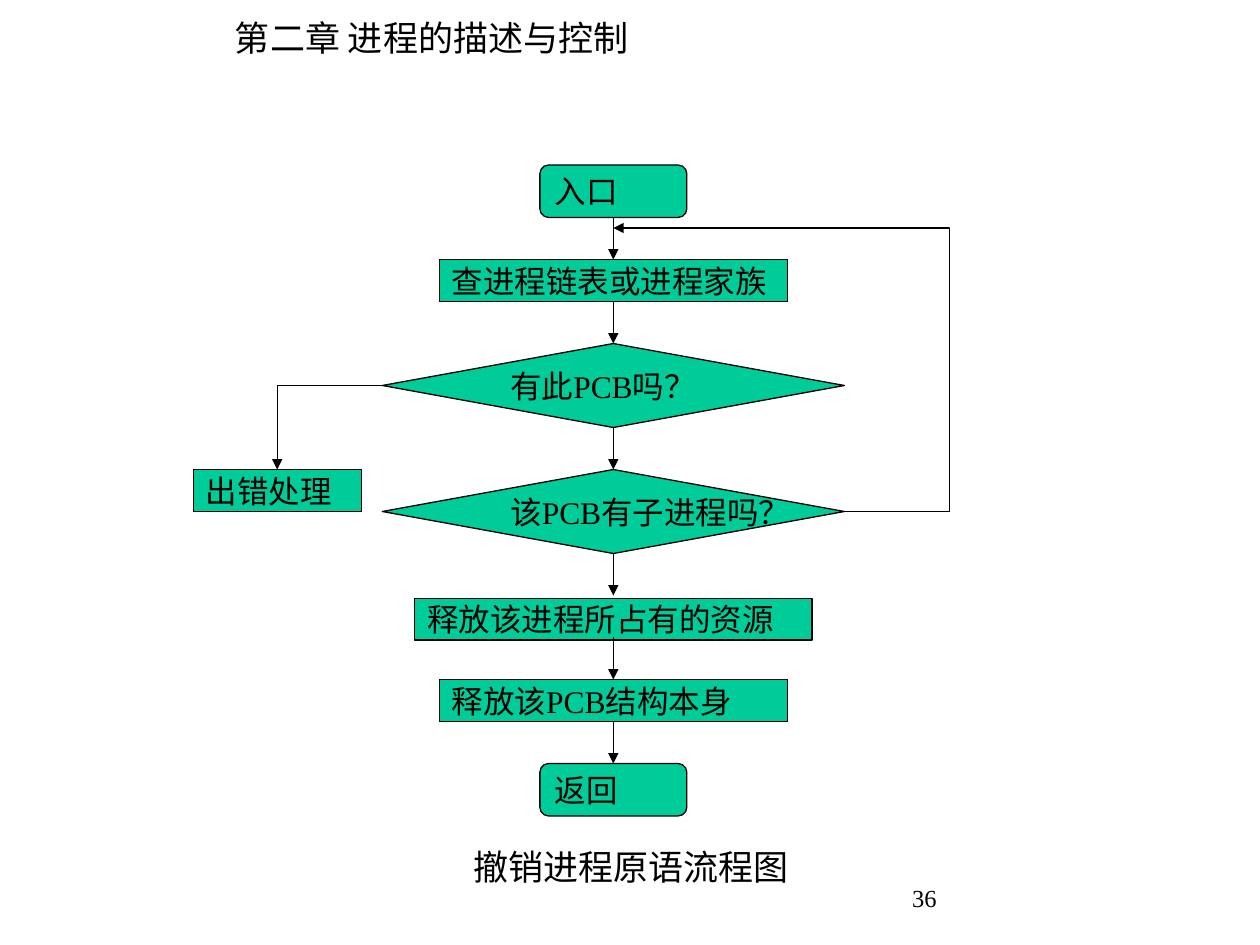
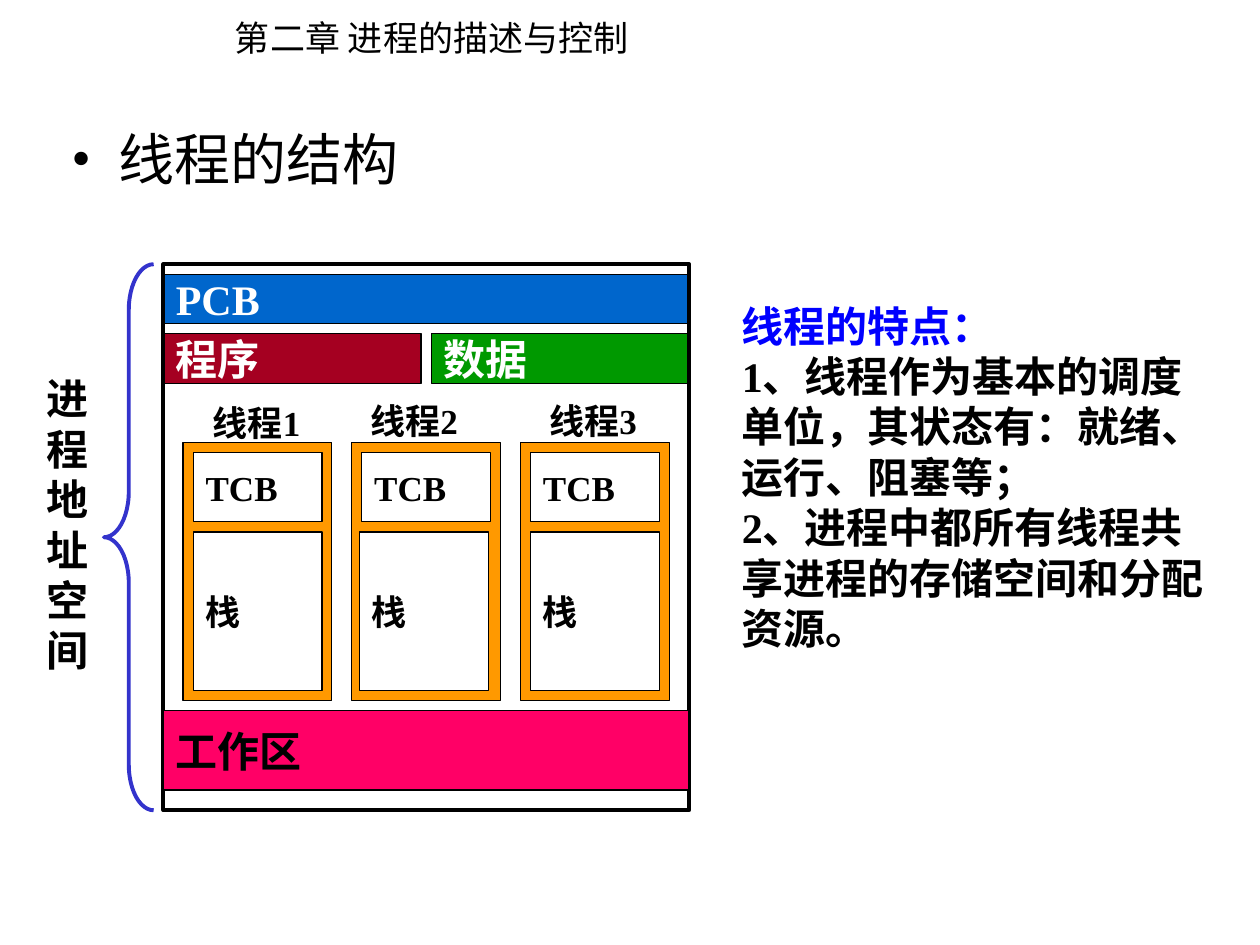
from lxml.etree import SubElement
from pptx import Presentation
from pptx.dml.color import RGBColor
from pptx.enum.shapes import MSO_CONNECTOR, MSO_SHAPE
from pptx.enum.text import MSO_ANCHOR, MSO_AUTO_SIZE, PP_ALIGN
from pptx.oxml.ns import qn
from pptx.util import Pt

# Shared look
BLACK = RGBColor(0x00, 0x00, 0x00)
WHITE = RGBColor(0xFF, 0xFF, 0xFF)
FLOW_GREEN = RGBColor(0x00, 0xCC, 0x99)
PCB_BLUE = RGBColor(0x00, 0x66, 0xCC)
CODE_RED = RGBColor(0xA5, 0x00, 0x21)
DATA_GREEN = RGBColor(0x00, 0x99, 0x00)
THREAD_ORANGE = RGBColor(0xFF, 0x99, 0x00)
WORK_PINK = RGBColor(0xFF, 0x00, 0x66)
BRACE_BLUE = RGBColor(0x33, 0x33, 0xCC)
HEADING_BLUE = RGBColor(0x00, 0x00, 0xFF)
LATIN_FONT = "Times New Roman"
CHINESE_FONT = "Noto Sans CJK SC"
THIN, THICK = 0.75, 2.25

# Shared content
CHAPTER = "第二章 进程的描述与控制"

# Flowchart: text, preset, width, height, nudge down from the regular column
CAPTION = "撤销进程原语流程图"
PAGE_NUMBER = "36"
ROUNDED = MSO_SHAPE.FLOWCHART_ALTERNATE_PROCESS
BOX = MSO_SHAPE.RECTANGLE
DECISION = MSO_SHAPE.FLOWCHART_DECISION
FLOW_STEPS = [
    ("入口", ROUNDED, 84, 30, 0),
    ("查进程链表或进程家族", BOX, 199, 24, 0),
    ("有此PCB吗？", DECISION, 264, 48, 0),
    ("该PCB有子进程吗？", DECISION, 264, 48, 0),
    ("释放该进程所占有的资源", BOX, 227, 24, 1.5),
    ("释放该PCB结构本身", BOX, 199, 24, 0),
    ("返回", ROUNDED, 84, 30, 0),
]
ERROR_STEP = "出错处理"
FLOW_CENTER, FLOW_TOP, FLOW_GAP = 350.5, 94.3, 24

# Thread structure
TOPIC = "线程的结构"
ADDRESS_SPACE = "进程地址空间"
FRAME_LEFT, FRAME_TOP, FRAME_WIDTH, FRAME_HEIGHT = 93.4, 151, 300.4, 312
HALF_WIDTH = 147.2
SHARED_AREAS = [  # text, left, top, width, height, fill
    ("PCB", FRAME_LEFT, 156.7, FRAME_WIDTH, 28.3, PCB_BLUE),
    ("程序", FRAME_LEFT, 190.8, HALF_WIDTH, 28.3, CODE_RED),
    ("数据", FRAME_LEFT + FRAME_WIDTH - HALF_WIDTH, 190.8, HALF_WIDTH, 28.3, DATA_GREEN),
]
THREADS = [  # label, label left, label top, stack offset
    ("线程1", 114.5, 226, 5.8),
    ("线程2", 204.5, 224.6, 4.5),
    ("线程3", 306.7, 224.6, 5.8),
]
THREAD_LEFT, THREAD_STEP = 104.6, 96.4
FEATURES = [
    ("线程的特点：", HEADING_BLUE),
    ("1、线程作为基本的调度单位，其状态有：就绪、运行、阻塞等；", BLACK),
    ("2、进程中都所有线程共享进程的存储空间和分配资源。", BLACK),
]


def write(shape, lines, size, bold=False, wrap=False, font=LATIN_FONT):
    """Write (text, colour) lines, left aligned."""
    frame = shape.text_frame
    frame.word_wrap = wrap
    for index, (text, color) in enumerate(lines):
        paragraph = frame.add_paragraph() if index else frame.paragraphs[0]
        paragraph.alignment = PP_ALIGN.LEFT
        run = paragraph.add_run()
        run.text = text
        for name, value in {"name": font, "size": Pt(size), "bold": bold}.items():
            setattr(run.font, name, value)
        run.font.color.rgb = color
        SubElement(run.font._element, qn("a:ea"), typeface=CHINESE_FONT)


def add_label(slide, lines, place, size, grow=True, **style):
    box = slide.shapes.add_textbox(*map(Pt, place))
    write(box, lines, size, **style)
    box.text_frame.auto_size = MSO_AUTO_SIZE.SHAPE_TO_FIT_TEXT if grow else MSO_AUTO_SIZE.NONE


def add_block(slide, preset, place, fill=None, line=BLACK, width=THIN):
    shape = slide.shapes.add_shape(preset, *map(Pt, place))
    shape.shadow.inherit = False
    if fill is None:
        shape.fill.background()
    else:
        shape.fill.solid()
        shape.fill.fore_color.rgb = fill
    shape.line.color.rgb = line
    shape.line.width = Pt(width)
    return shape


def add_text_block(slide, preset, place, fill, text, size, color=BLACK, bold=True):
    shape = add_block(slide, preset, place, fill)
    shape.text_frame.vertical_anchor = MSO_ANCHOR.MIDDLE
    write(shape, [(text, color)], size, bold)


def style_arrow(shape):
    shape.line.color.rgb = BLACK
    shape.line.width = Pt(THIN)
    SubElement(shape.line._get_or_add_ln(), qn("a:tailEnd"), type="triangle")


def add_arrow(slide, x, top, bottom):
    arrow = slide.shapes.add_connector(MSO_CONNECTOR.STRAIGHT, *map(Pt, (x, top, x, bottom)))
    style_arrow(arrow)
    SubElement(arrow._element.spPr, qn("a:effectLst"))


def add_bent_arrow(slide, points):
    start, *corners = [(Pt(x), Pt(y)) for x, y in points]
    builder = slide.shapes.build_freeform(*start)
    builder.add_line_segments(corners, close=False)
    arrow = builder.convert_to_shape()
    arrow.shadow.inherit = False
    arrow.fill.background()
    style_arrow(arrow)


def add_chapter_slide(presentation):
    slide = presentation.slides.add_slide(presentation.slide_layouts[6])
    add_label(slide, [(CHAPTER, BLACK)], (127.2, 5.8, 243.4, 31.7), 20, font=CHINESE_FONT)
    return slide


def build_flowchart(slide):
    add_label(slide, [(PAGE_NUMBER, BLACK)], (514.2, 501.3, 150, 36), 14, grow=False, wrap=True)

    # Column of steps, centred and evenly spaced
    top = FLOW_TOP
    spans = []
    for text, preset, width, height, nudge in FLOW_STEPS:
        place = (FLOW_CENTER - width / 2, top + nudge, width, height)
        add_text_block(slide, preset, place, FLOW_GREEN, text, 18, bold=False)
        spans.append((top, top + height))
        top += height + FLOW_GAP
    for (_, bottom), (next_top, _) in zip(spans, spans[1:]):
        add_arrow(slide, FLOW_CENTER, bottom, next_top)

    # Branches of the two decisions
    exists_middle, child_middle = (sum(span) / 2 for span in spans[2:4])
    half_decision = FLOW_STEPS[2][2] / 2
    loop_right, loop_top = 542.4, spans[0][1] + 6
    add_bent_arrow(slide, [
        (FLOW_CENTER + half_decision, child_middle), (loop_right, child_middle),
        (loop_right, loop_top), (FLOW_CENTER, loop_top)])
    error_left, error_width, error_top = 110.4, 96, spans[3][0]
    add_text_block(slide, MSO_SHAPE.FLOWCHART_PROCESS, (error_left, error_top, error_width, 24),
                   FLOW_GREEN, ERROR_STEP, 18, bold=False)
    error_center = error_left + error_width / 2
    add_bent_arrow(slide, [
        (FLOW_CENTER - half_decision, exists_middle), (error_center, exists_middle),
        (error_center, error_top)])

    add_label(slide, [(CAPTION, BLACK)], (263.5, 479.8, 204.5, 31.7), 20, wrap=True)


def build_thread_structure(slide):
    # Bulleted topic
    topic = slide.shapes.add_textbox(*map(Pt, (33.8, 67.7, 612, 324)))
    properties = topic.text_frame.paragraphs[0]._p.get_or_add_pPr()
    properties.set("marL", str(Pt(27)))
    properties.set("indent", str(Pt(-27)))
    SubElement(properties, qn("a:buFont"), typeface=LATIN_FONT)
    SubElement(properties, qn("a:buChar"), char="•")
    write(topic, [(TOPIC, BLACK)], 32, wrap=True)

    # Process address space
    for text, left, top, width, height, fill in SHARED_AREAS:
        add_text_block(slide, BOX, (left, top, width, height), fill, text, 24, WHITE)
    add_block(slide, BOX, (FRAME_LEFT, FRAME_TOP, FRAME_WIDTH, FRAME_HEIGHT), width=THICK)
    add_label(slide, [(ADDRESS_SPACE, BLACK)], (19.4, 209.5, 37.4, 180), 24, bold=True, wrap=True)
    brace = add_block(slide, MSO_SHAPE.LEFT_BRACE, (59.4, FRAME_TOP, 28.4, FRAME_HEIGHT),
                      line=BRACE_BLUE, width=THICK)
    brace.adjustments[0] = 0.92

    # Threads, each with its control block and stack
    for index, (label, label_left, label_top, stack_offset) in enumerate(THREADS):
        left = THREAD_LEFT + index * THREAD_STEP
        add_block(slide, BOX, (left, 252.7, 85, 147.6), THREAD_ORANGE)
        add_text_block(slide, BOX, (left + 5.8, 258.5, 73.6, 39.6), WHITE, "TCB", 20)
        add_text_block(slide, BOX, (left + stack_offset, 304, 73.6, 90.6), WHITE, "栈", 20)
        # Wide enough to keep the label on one line
        add_label(slide, [(label, BLACK)], (label_left, label_top, 84, 31.7), 20,
                  bold=True, wrap=True)

    add_label(slide, FEATURES, (416.9, 168, 289.4, 208.8), 24, bold=True, wrap=True)
    add_text_block(slide, BOX, (FRAME_LEFT, 406, FRAME_WIDTH, 45.4), WORK_PINK, "工作区", 24)


def main():
    presentation = Presentation()
    presentation.slide_width, presentation.slide_height = Pt(720), Pt(540)
    for build in (build_flowchart, build_thread_structure):
        build(add_chapter_slide(presentation))
    presentation.save("out.pptx")


if __name__ == "__main__":
    main()
